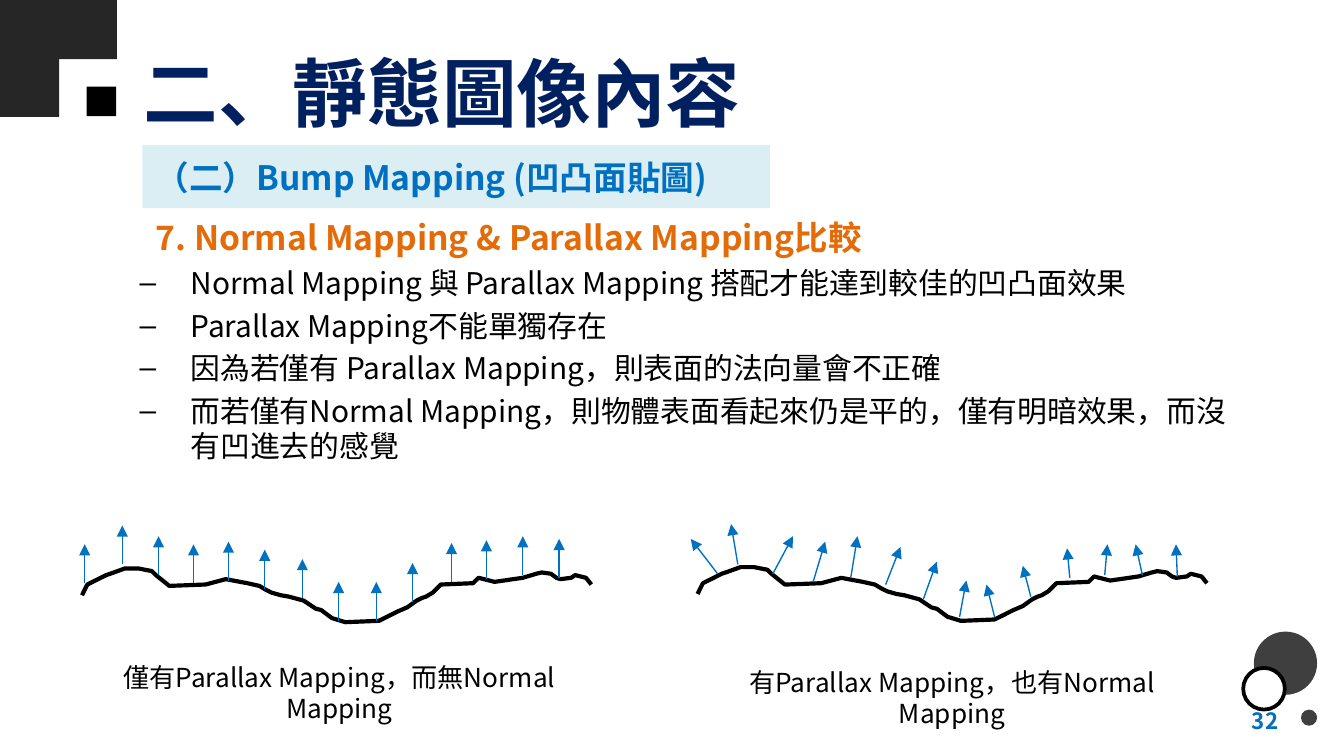
from lxml.etree import SubElement
from pptx import Presentation
from pptx.dml.color import RGBColor
from pptx.enum.shapes import MSO_CONNECTOR as CONNECTOR, MSO_SHAPE as SHAPE
from pptx.enum.text import MSO_ANCHOR as ANCHOR, MSO_AUTO_SIZE as AUTO_SIZE, PP_ALIGN as ALIGN
from pptx.oxml.ns import qn
from pptx.util import Inches, Pt

FONT = "Noto Sans CJK TC"
BLACK = RGBColor(0x00, 0x00, 0x00)
WHITE = RGBColor(0xFF, 0xFF, 0xFF)
CHARCOAL = RGBColor(0x26, 0x26, 0x26)
GREY = RGBColor(0x3F, 0x3F, 0x3F)
NAVY = RGBColor(0x00, 0x20, 0x60)
BLUE = RGBColor(0x00, 0x70, 0xC0)
PALE_BLUE = RGBColor(0xDA, 0xEE, 0xF3)
ORANGE = RGBColor(0xE3, 0x6C, 0x09)

POINTS = [
    "Normal Mapping 與 Parallax Mapping 搭配才能達到較佳的凹凸面效果",
    "Parallax Mapping不能單獨存在",
    "因為若僅有 Parallax Mapping，則表面的法向量會不正確",
    "而若僅有Normal Mapping，則物體表面看起來仍是平的，僅有明暗效果，而沒有凹進去的感覺",
]

# Bumpy surface, in inches from the top left of its diagram
SURFACE = [
    (0, 0.21), (0.04, 0.13), (0.12, 0.09), (0.18, 0.06), (0.21, 0.05), (0.32, 0.01),
    (0.42, 0.01), (0.52, 0.03), (0.55, 0.06), (0.65, 0.14), (0.92, 0.13), (1.07, 0.09),
    (1.23, 0.12), (1.32, 0.14), (1.37, 0.17), (1.41, 0.19), (1.48, 0.21), (1.54, 0.22),
    (1.65, 0.25), (1.74, 0.31), (1.78, 0.32), (1.86, 0.38), (1.96, 0.41), (2.21, 0.40),
    (2.27, 0.37), (2.35, 0.33), (2.42, 0.30), (2.49, 0.25), (2.53, 0.23), (2.56, 0.22),
    (2.61, 0.19), (2.64, 0.16), (2.67, 0.13), (2.91, 0.12), (2.95, 0.08), (3.07, 0.11),
    (3.28, 0.08), (3.38, 0.05), (3.42, 0.04), (3.49, 0.05), (3.53, 0.08), (3.56, 0.09),
    (3.64, 0.08), (3.67, 0.06), (3.75, 0.08), (3.79, 0.13),
]

# Normals as (foot x, foot y, run, rise)
UPRIGHT_FEET = [
    (0.02, 0.12), (0.30, -0.02), (0.57, 0.06), (0.83, 0.12), (1.09, 0.10),
    (1.36, 0.16), (1.64, 0.23), (1.91, 0.40), (2.19, 0.40), (2.46, 0.26),
    (2.75, 0.11), (3.01, 0.09), (3.28, 0.06), (3.55, 0.08),
]
UPRIGHT_NORMALS = [(x, y, 0, -0.29) for x, y in UPRIGHT_FEET]
TILTED_NORMALS = [
    (0.15, 0.06, -0.20, -0.26), (0.30, -0.01, -0.05, -0.30), (0.56, 0.06, 0.15, -0.28),
    (0.86, 0.12, 0.09, -0.30), (1.14, 0.09, 0.05, -0.31), (1.40, 0.14, 0.11, -0.28),
    (1.68, 0.25, 0.10, -0.28), (1.95, 0.38, 0.05, -0.27), (2.21, 0.38, -0.06, -0.24),
    (2.48, 0.23, -0.06, -0.23), (2.77, 0.09, -0.02, -0.22), (3.03, 0.07, 0.02, -0.23),
    (3.31, 0.07, -0.05, -0.23), (3.57, 0.08, -0.01, -0.24),
]


def style(paragraph, size, color, bold=False, align=ALIGN.LEFT):
    paragraph.alignment = align
    font = paragraph.font
    font.size, font.bold, font.name = Pt(size), bold, FONT
    font.color.rgb = color
    east_asian = SubElement(paragraph._p.pPr.find(qn("a:defRPr")), qn("a:ea"))
    east_asian.set("typeface", FONT)


def write(shape, text, size, color, bold=False, align=ALIGN.LEFT, anchor=ANCHOR.MIDDLE):
    frame = shape.text_frame
    frame.word_wrap = True
    frame.vertical_anchor = anchor
    frame.text = text
    for paragraph in frame.paragraphs:
        style(paragraph, size, color, bold, align)
    return frame


def add_text(slide, box, *args, **kwargs):
    return write(slide.shapes.add_textbox(*map(Inches, box)), *args, **kwargs)


def add_solid(slide, kind, box, fill, outline=None):
    solid = slide.shapes.add_shape(kind, *map(Inches, box))
    solid.shadow.inherit = False
    solid.fill.solid()
    solid.fill.fore_color.rgb = fill
    if outline is None:
        solid.line.fill.background()
    else:
        solid.line.color.rgb = outline
        solid.line.width = Pt(2)
    return solid


def add_corner_squares(slide, left, top, step):
    side = step + 0.01  # a slight overlap hides the seams
    for column, row in [(0, 0), (1, 0), (0, 1)]:
        box = (left + column * step, top + row * step, side, side)
        add_solid(slide, SHAPE.RECTANGLE, box, CHARCOAL)
    half = side / 2
    add_solid(slide, SHAPE.RECTANGLE, (left + 1.5 * step, top + 1.5 * step, half, half), BLACK)


def add_page_mark(slide, left, top, number):
    """Circles in the bottom right corner with the page number."""
    for x, y, size, fill, outline in [(0.08, 0, 0.47, GREY, None),
                                      (0.43, 0.58, 0.12, GREY, None),
                                      (0, 0.27, 0.31, WHITE, BLACK)]:
        add_solid(slide, SHAPE.OVAL, (left + x, top + y, size, size), fill, outline)
    add_text(slide, (left - 1.97, top + 0.51, 2.33, 0.3), number, 12, BLUE, True, ALIGN.RIGHT)


def add_headings(slide, left, top):
    title = slide.shapes.title
    title.left, title.top = Inches(left - 0.09), Inches(top)
    title.width, title.height = Inches(7.35), Inches(0.94)
    write(title, "二、靜態圖像內容", 40, NAVY, True)
    band = add_solid(slide, SHAPE.RECTANGLE, (left, top + 0.87, 4.67, 0.47), PALE_BLUE)
    write(band, "（二）Bump Mapping (凹凸面貼圖)", 18, BLUE, True)
    add_text(slide, (left, top + 1.32, 5.68, 0.47),
             "7. Normal Mapping & Parallax Mapping比較", 18, ORANGE, True)


def add_points(slide, box):
    frame = slide.shapes.add_textbox(*map(Inches, box)).text_frame
    frame.word_wrap = True
    frame.text = "\n".join(POINTS)
    for index, paragraph in enumerate(frame.paragraphs):
        if index:
            paragraph.space_before = Pt(3.6)
        properties = paragraph._p.get_or_add_pPr()
        properties.set("marL", str(Inches(1)))
        properties.set("indent", str(Inches(-0.38)))
        SubElement(properties, qn("a:buFont")).set("typeface", "Arial")
        SubElement(properties, qn("a:buChar")).set("char", "–")
        style(paragraph, 16, BLACK)


def add_normal(slide, x, y, run, rise):
    normal = slide.shapes.add_connector(
        CONNECTOR.STRAIGHT, *map(Inches, (x, y, x + run, y + rise)))
    normal.line.color.rgb = BLUE
    normal.line.width = Pt(0.75)
    SubElement(normal.line._get_or_add_ln(), qn("a:tailEnd")).set("type", "triangle")
    SubElement(normal._element.spPr, qn("a:effectLst"))


def add_surface_diagram(slide, left, top, normals, caption, caption_offset):
    vertices = [(Inches(left + x), Inches(top + y)) for x, y in SURFACE]
    builder = slide.shapes.build_freeform(*vertices[0])
    builder.add_line_segments(vertices[1:], close=False)
    surface = builder.convert_to_shape()
    surface.shadow.inherit = False
    surface.fill.background()
    surface.line.color.rgb = BLACK
    surface.line.width = Pt(2.25)
    for x, y, run, rise in normals:
        add_normal(slide, left + x, top + y, run, rise)
    x, y = caption_offset
    frame = add_text(slide, (left + x, top + y, 4.05, 0.26), caption, 14, BLACK,
                     align=ALIGN.CENTER, anchor=ANCHOR.TOP)
    frame.auto_size = AUTO_SIZE.SHAPE_TO_FIT_TEXT


def main():
    deck = Presentation()
    deck.slide_width = Inches(10)
    deck.slide_height = deck.slide_width * 9 // 16
    slide = deck.slides.add_slide(deck.slide_layouts[5])
    add_corner_squares(slide, 0, 0, 0.43)
    add_page_mark(slide, 9.25, 4.7, "32")
    add_headings(slide, 1.06, 0.21)
    add_points(slide, (0.32, 1.92, 9.08, 2.61))
    add_surface_diagram(slide, 5.19, 4.21, TILTED_NORMALS,
                        "有Parallax Mapping，也有Normal Mapping", (-0.13, 0.7))
    add_surface_diagram(slide, 0.61, 4.22, UPRIGHT_NORMALS,
                        "僅有Parallax Mapping，而無Normal Mapping", (-0.11, 0.65))
    deck.save("out.pptx")


if __name__ == "__main__":
    main()
